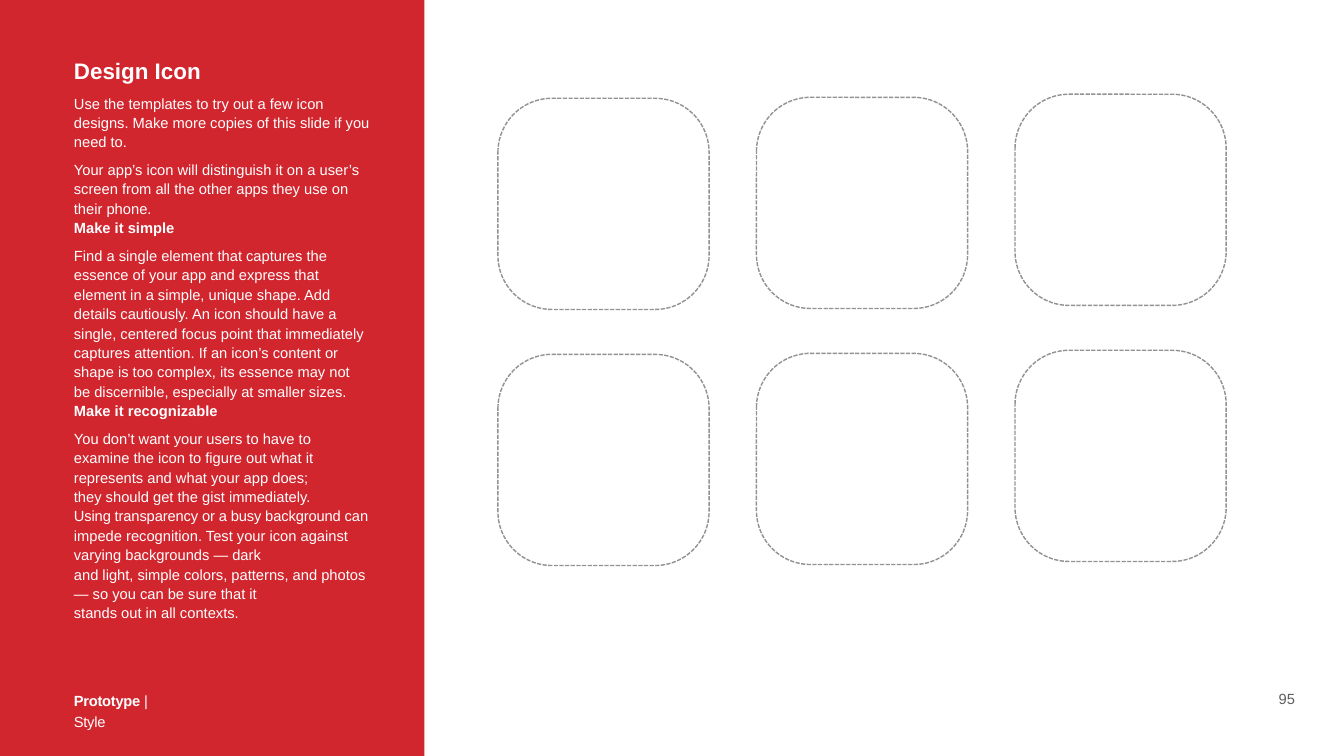
from pptx import Presentation
from pptx.dml.color import RGBColor
from pptx.enum.dml import MSO_LINE
from pptx.enum.shapes import MSO_SHAPE
from pptx.enum.text import MSO_ANCHOR, PP_ALIGN
from pptx.util import Pt

RECTANGLE, ROUNDED = MSO_SHAPE.RECTANGLE, MSO_SHAPE.ROUNDED_RECTANGLE
SHORT_DASH = MSO_LINE.SQUARE_DOT
TOP, BOTTOM = MSO_ANCHOR.TOP, MSO_ANCHOR.BOTTOM
LEFT, CENTER = PP_ALIGN.LEFT, PP_ALIGN.CENTER

THEME = {
    "font": "Arial", "title": 32, "text": 21,
    "red": RGBColor(0xD2, 0x26, 0x2F), "white": RGBColor(0xFF, 0xFF, 0xFF),
    "outline": RGBColor(0x92, 0x92, 0x92), "number": RGBColor(0x5E, 0x5E, 0x5E),
}

# Content: each paragraph is (spans, format); each span is (text, format)
BOLD = {"bold": True}
BODY = {"line_spacing": 1.1, "space_before": 12}
HEADING = {"line_spacing": 1.1}
GUIDE = [
    ([("Design Icon", {"bold": True, "size": THEME["title"]})], {}),
    ([("Use the templates to try out a few icon designs. Make more copies of "
       "this slide if you need to.", {})], BODY),
    ([("Your app’s icon will distinguish it on a user’s screen from all the "
       "other apps they use on their phone.", {})], BODY),
    ([("Make it simple", BOLD)], HEADING),
    ([("Find a single element that captures the essence of your app and "
       "express that element in a simple, unique shape. Add details "
       "cautiously. An icon should have a single, centered focus point that "
       "immediately captures attention. If an icon’s content or shape is too "
       "complex, its essence may not be discernible, especially at smaller "
       "sizes.", {})], BODY),
    ([("Make it recognizable", BOLD)], HEADING),
    ([("You don’t want your users to have to examine the icon to figure out "
       "what it represents and what your app does; \n"
       "they should get the gist immediately. \n", {}),
      ("Using transparency or a busy background ", {"spacing": -0.2}),
      ("can impede recognition. Test your icon against varying backgrounds — "
       "dark \nand light, simple colors, patterns, and photos — so you can be "
       "sure that it\nstands out in all contexts.", {})], BODY),
]
FOOTER = [([("Prototype", {"bold": True, "spacing": -0.4}),
            (" | Style", {"spacing": -0.4})], {"line_spacing": 1.2})]
PAGE_NUMBER = [([("95", {})], {})]

# Icon template grid
ICON_SIZE, ICON_CORNER = 301.7, 0.256
FIRST_LEFT, COLUMN_STEP, ROW_STEP = 711.4, 369.4, 365.8
COLUMN_TOPS = [140.4, 139, 134.6]
ROWS = 2


def add_span(para, text, color, size=THEME["text"], bold=False, spacing=0):
    for index, line in enumerate(text.split("\n")):
        if index:
            para.add_line_break()
        if not line:
            continue
        span = para.add_run()
        span.text = line
        span.font.name = THEME["font"]
        span.font.size = Pt(size)
        span.font.bold = bold
        span.font.color.rgb = color
        if spacing:
            span.font._element.set("spc", str(round(spacing * 100)))


def add_text(page, paragraphs, left, top, width, height, color=THEME["white"],
             align=LEFT, anchor=TOP, wrap=True):
    box = page.shapes.add_textbox(Pt(left), Pt(top), Pt(width), Pt(height))
    frame = box.text_frame
    frame.word_wrap = wrap
    frame.vertical_anchor = anchor
    frame.margin_left = frame.margin_right = Pt(5.6)
    frame.margin_top = frame.margin_bottom = Pt(5.6)
    for index, (spans, layout) in enumerate(paragraphs):
        para = frame.add_paragraph() if index else frame.paragraphs[0]
        para.alignment = align
        para.line_spacing = layout.get("line_spacing", 1.0)
        para.space_before = Pt(layout.get("space_before", 0))
        for text, style in spans:
            add_span(para, text, color, **style)


def add_block(page, kind, left, top, width, height, fill):
    block = page.shapes.add_shape(kind, Pt(left), Pt(top), Pt(width), Pt(height))
    block.shadow.inherit = False
    block.fill.solid()
    block.fill.fore_color.rgb = fill
    block.line.fill.background()
    return block


def add_icon_template(page, left, top):
    icon = add_block(page, ROUNDED, left, top, ICON_SIZE, ICON_SIZE, THEME["white"])
    icon.adjustments[0] = ICON_CORNER
    icon.line.color.rgb = THEME["outline"]
    icon.line.width = Pt(2)
    icon.line.dash_style = SHORT_DASH


def main():
    deck = Presentation()
    deck.slide_width, deck.slide_height = Pt(1920.24), Pt(1080)
    page = deck.slides.add_slide(deck.slide_layouts[6])

    # Red side panel with the guidance
    add_block(page, RECTANGLE, -0.7, -0.7, 607, 1081.4, THEME["red"])
    add_text(page, GUIDE, 100, 76.3, 434.2, 811.4)
    add_text(page, FOOTER, 100, 977.8, 166.3, 36.7)

    # Page number
    add_text(page, PAGE_NUMBER, 1820.9, 979.9, 35.3, 36, color=THEME["number"],
             align=CENTER, anchor=BOTTOM, wrap=False)

    # Empty icon templates
    for column, top in enumerate(COLUMN_TOPS):
        for row in range(ROWS):
            add_icon_template(page, FIRST_LEFT + column * COLUMN_STEP,
                              top + row * ROW_STEP)

    deck.save("out.pptx")


if __name__ == "__main__":
    main()
